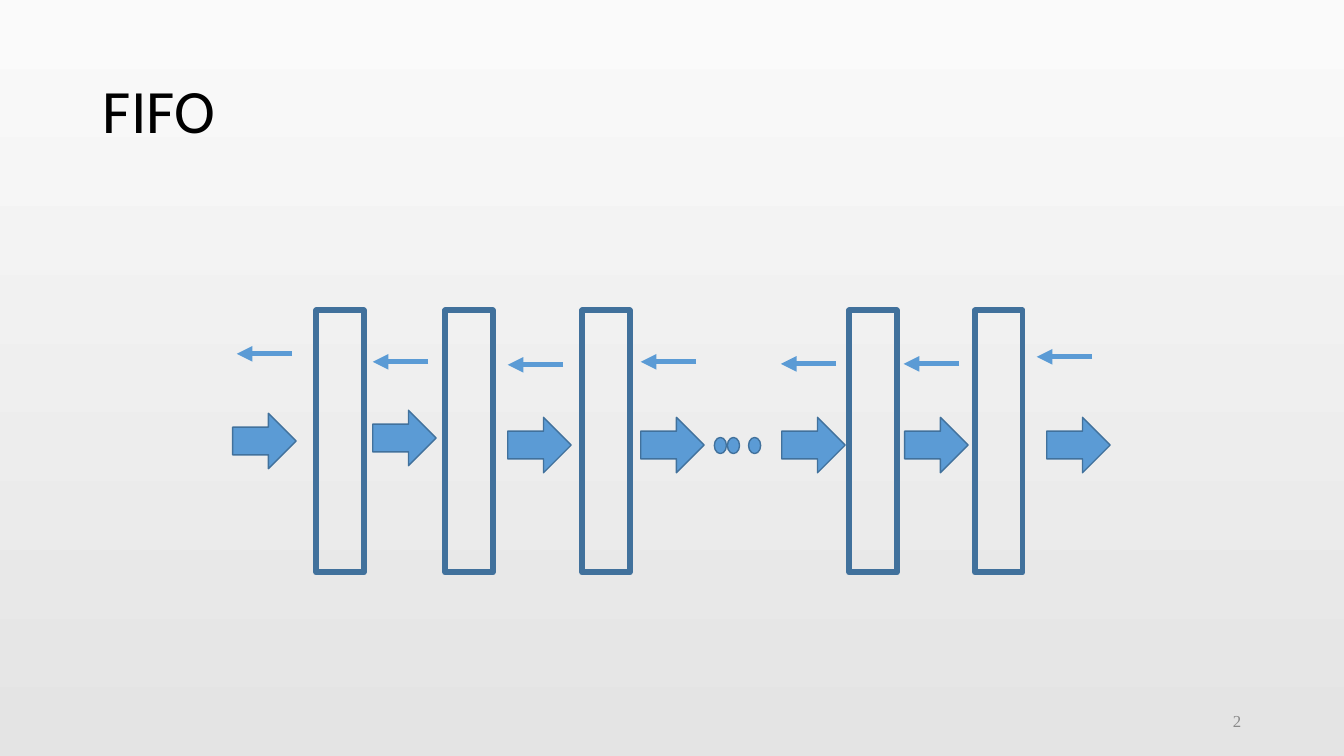
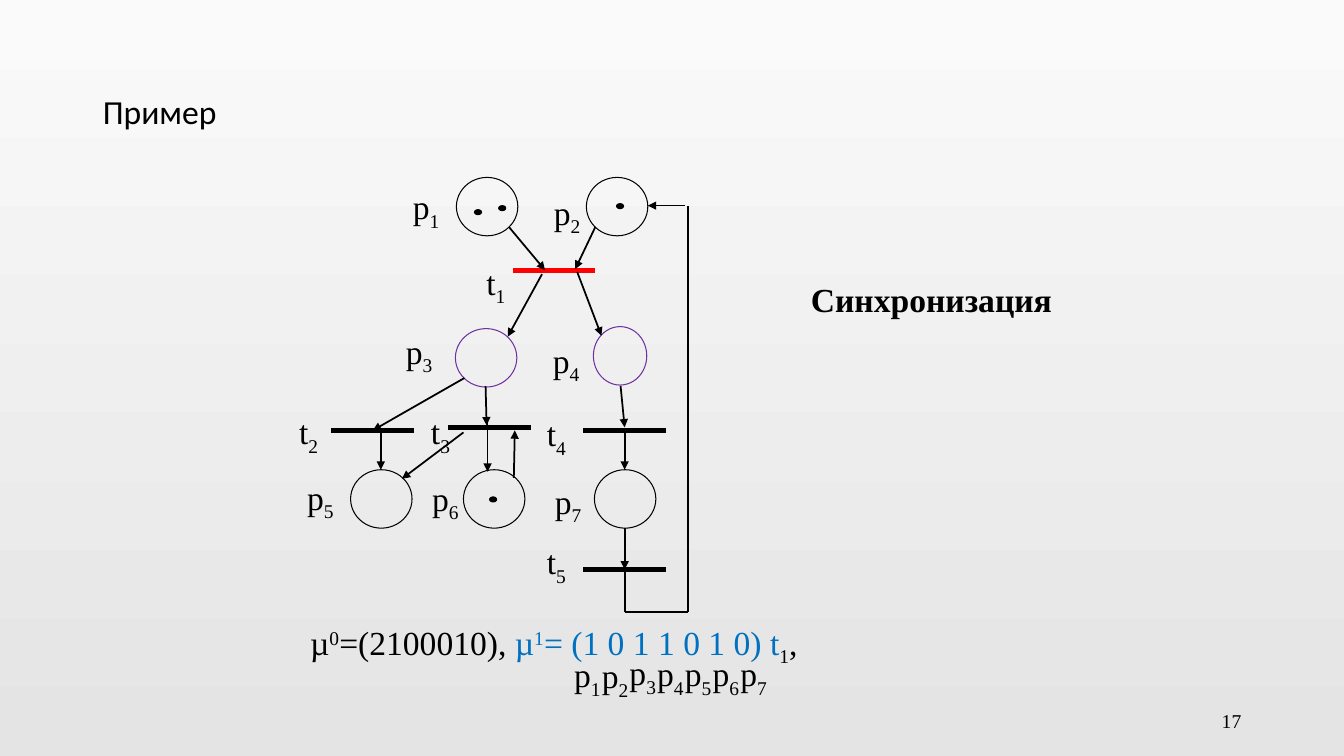
"""Build two slides: a FIFO pipeline and a Petri net that shows synchronisation."""
import lxml.etree
import pptx
import pptx.dml.color
import pptx.enum.shapes
import pptx.enum.text
import pptx.oxml.ns
import pptx.util

RGB = pptx.dml.color.RGBColor
KIND = pptx.enum.shapes.MSO_SHAPE
ANCHOR = pptx.enum.text.MSO_ANCHOR
ALIGN = pptx.enum.text.PP_ALIGN
qualified = pptx.oxml.ns.qn

SKY_TOP = RGB(0xFA, 0xFA, 0xFA)
SKY_BOTTOM = RGB(0xE4, 0xE4, 0xE4)
BLACK = RGB(0, 0, 0)
GREY = RGB(0x89, 0x89, 0x89)
BLUE = RGB(0x5B, 0x9B, 0xD5)
DARK_BLUE = RGB(0x41, 0x71, 0x9C)
TEXT_BLUE = RGB(0, 0x70, 0xC0)
PURPLE = RGB(0x70, 0x30, 0xA0)
RED = RGB(0xFF, 0, 0)

CELL = pptx.util.Inches(0.1)
COLUMNS, ROWS = 133.4, 75
BODY = {"name": "Times New Roman", "size": pptx.util.Pt(24), "bold": False}
SUPER, SUB = 30000, -25000


def place(left, top, width, height):
    """Turn grid columns and rows into slide lengths."""
    return [int(cells * CELL) for cells in (left, top, width, height)]


def write(box, spans, style, align=ALIGN.LEFT, anchor=ANCHOR.TOP):
    """Fill a text box with spans of text, colour and baseline."""
    frame = box.text_frame
    frame_format = {"word_wrap": True, "vertical_anchor": anchor,
                    "auto_size": pptx.enum.text.MSO_AUTO_SIZE.NONE}
    for name, value in frame_format.items():
        setattr(frame, name, value)
    para = frame.paragraphs[0]
    para.alignment = align
    for text, colour, baseline in spans:
        span = para.add_run()
        span.text = text
        for name, value in style.items():
            setattr(span.font, name, value)
        span.font.color.rgb = colour
        if baseline:
            span.font._element.set("baseline", str(baseline))
    return para


deck = pptx.Presentation()
deck.slide_width, deck.slide_height = place(0, 0, COLUMNS, ROWS)[2:]
backdrop = deck.slide_master.background.fill
backdrop.gradient()
backdrop.gradient_angle = 270
for stop, colour, position in zip(backdrop.gradient_stops, (SKY_TOP, SKY_BOTTOM), (0, 1)):
    stop.color.rgb = colour
    stop.position = position

pages = []
for title, title_size, number, number_size, number_colour in [
    ("FIFO", 44, "2", 12, GREY),
    ("Пример", 24, "17", 14, BLACK),
]:
    page = deck.slides.add_slide(deck.slide_layouts[5])
    heading = page.shapes.title
    heading.left, heading.top, heading.width, heading.height = place(9.2, 4, 115, 14.5)
    heading_style = {"name": "Calibri", "size": pptx.util.Pt(title_size)}
    para = write(heading, [(title, BLACK, 0)], heading_style, anchor=ANCHOR.MIDDLE)
    para.line_spacing = 0.9
    footer = page.shapes.add_textbox(*place(94.2, 69.5, 30, 4))
    footer_style = {**BODY, "size": pptx.util.Pt(number_size)}
    write(footer, [(number, number_colour, 0)], footer_style, ALIGN.RIGHT, ANCHOR.MIDDLE)
    pages.append(page)
fifo, net = pages

outlines = []
links = []
labels = []

for left in (31.4, 44.2, 57.8, 84.3, 96.8):
    outlines.append((fifo, KIND.RECTANGLE, (left, 30.8, 4.7, 26), None, DARK_BLUE, 4.25))
for data_left, data_top, reply_left, reply_row in [
    (23.1, 41, 23.5, 35.1),
    (37, 40.7, 37, 35.9),
    (50.4, 41.4, 50.4, 36.2),
    (63.6, 41.4, 63.6, 35.9),
    (77.6, 41.4, 77.5, 36.1),
    (89.8, 41.4, 89.7, 36.1),
    (103.9, 41.4, 102.9, 35.4),
]:
    data_box = (data_left, data_top, 6.3, 5.5)
    outlines.append((fifo, KIND.RIGHT_ARROW, data_box, BLUE, DARK_BLUE, 1))
    reply = (reply_left + 5.5, reply_row, reply_left, reply_row)
    links.append((fifo, reply, BLUE, 3.75, True))
for left in (70.9, 72.2, 74.3):
    dot = (left, 43.4, 1.2, 1.6)
    outlines.append((fifo, KIND.FLOWCHART_CONNECTOR, dot, BLUE, DARK_BLUE, 1))

for name, left, top, width, colour, label_left, label_top in [
    ("1", 45.3, 17.6, 6.1, BLACK, 40, 18),
    ("2", 58.2, 17.6, 6.1, BLACK, 54, 18.5),
    ("3", 45.2, 32.6, 6.1, PURPLE, 39.3, 32.3),
    ("4", 58.9, 32.4, 5.3, PURPLE, 53.9, 33.2),
    ("5", 34.8, 46.6, 6.1, BLACK, 29.5, 46.8),
    ("6", 46, 46.6, 6.1, BLACK, 41.9, 46.9),
    ("7", 59, 46.6, 6.1, BLACK, 54.1, 47.2),
]:
    outlines.append((net, KIND.OVAL, (left, top, width, 5.8), None, colour, 0.75))
    labels.append((label_left, label_top, "p", name))
for left, top in [(47.1, 20.8), (49.5, 20.4), (61.2, 20.2), (48.6, 49.3)]:
    outlines.append((net, KIND.OVAL, (left, top, 0.7, 0.5), BLACK, BLACK, 0.75))

for name, left, row, colour, label_left, label_top in [
    ("1", 50.9, 26.8, RED, 47.3, 25.5),
    ("2", 32.9, 42.7, BLACK, 28.7, 40.3),
    ("3", 44.5, 42.4, BLACK, 41.8, 40.3),
    ("4", 57.9, 42.7, BLACK, 53.3, 40.5),
    ("5", 57.9, 56.5, BLACK, 53.3, 53.2),
]:
    links.append((net, (left, row, left + 8.2, row), colour, 3.5, False))
    labels.append((label_left, label_top, "t", name))

for arc in [
    (59.1, 22.5, 57.1, 26.7), (50.5, 22.5, 54.1, 26.8),
    (53.8, 27.2, 50.4, 33.4), (57.3, 27, 59.7, 33.3),
    (48.2, 38.3, 48.3, 42.2), (46.1, 37.5, 37, 42.7),
    (37.8, 42.7, 37.8, 46.6), (48.4, 42, 48.4, 46.8),
    (51, 47.4, 51.1, 42.7), (61.6, 38.3, 62, 42.4),
    (62, 42.9, 62, 46.6), (62, 52.4, 62, 56.5),
    (68, 20.4, 64.3, 20.4), (46, 42.9, 39.9, 47.5),
]:
    links.append((net, arc, BLACK, 1.25, True))
corners = [(62, 56.5), (62, 60.7), (68.3, 60.7), (68.3, 20.4)]
for start, end in zip(corners, corners[1:]):
    links.append((net, start + end, BLACK, 1.25, False))

for index, top in enumerate((64.4, 64.5, 64.2, 64.3, 64.3, 64.3, 64.3)):
    labels.append((56 + 2.75 * index, top, "p", str(index + 1)))

for page, kind, bounds, fill, colour, weight in outlines:
    shape = page.shapes.add_shape(kind, *place(*bounds))
    shape.shadow.inherit = False
    if fill is None:
        shape.fill.background()
    else:
        shape.fill.solid()
        shape.fill.fore_color.rgb = fill
    shape.line.color.rgb = colour
    shape.line.width = pptx.util.Pt(weight)

for page, ends, colour, weight, has_head in links:
    link = page.shapes.add_connector(pptx.enum.shapes.MSO_CONNECTOR.STRAIGHT, *place(*ends))
    link.line.color.rgb = colour
    link.line.width = pptx.util.Pt(weight)
    if has_head:
        lxml.etree.SubElement(link.get_or_add_ln(), qualified("a:tailEnd"), type="triangle")
    lxml.etree.SubElement(link.element.spPr, qualified("a:effectLst"))

for left, top, letter, index in labels:
    label = net.shapes.add_textbox(*place(left, top, 6, 5.6))
    write(label, [(letter, BLACK, 0), (index, BLACK, SUB)], BODY)

marking = net.shapes.add_textbox(*place(29.8, 61.2, 81.8, 5.6))
write(marking, [
    ("µ", BLACK, 0), ("0", BLACK, SUPER), ("=(2100010), ", BLACK, 0),
    ("µ", TEXT_BLUE, 0), ("1", TEXT_BLUE, SUPER), ("= (1 0 1 1 0 1 0) t", TEXT_BLUE, 0),
    ("1", BLACK, SUB), (",", BLACK, 0),
], BODY)
caption = net.shapes.add_textbox(*place(79.5, 27.2, 32.4, 5))
write(caption, [("Синхронизация", BLACK, 0)], {**BODY, "bold": True})

deck.save("out.pptx")
